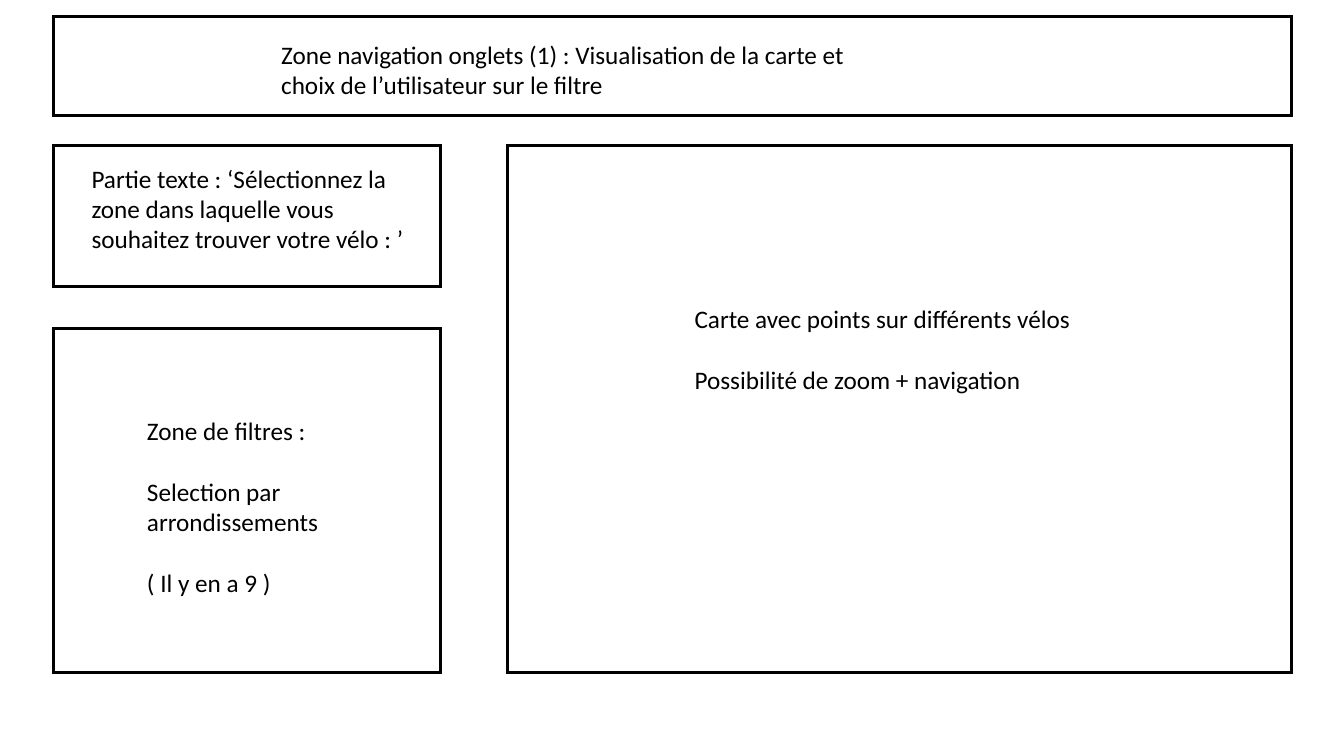
"""Wireframe slide of a bike map page: tabs, prompt, filters and map."""
import lxml.etree
import pptx
import pptx.dml.color
import pptx.enum.shapes
import pptx.enum.text
import pptx.oxml.ns
import pptx.util

Inches, Pt = pptx.util.Inches, pptx.util.Pt

THEME = {
    "ink": pptx.dml.color.RGBColor(0, 0, 0),
    "font": "Calibri",
    "size": Pt(18),
    "border": Pt(2.25),
    "paragraph_gap": Pt(21.9),
}
TEXT_FORMAT = {"name": THEME["font"], "size": THEME["size"]}
BOX_FORMAT = {
    "word_wrap": True,
    "auto_size": pptx.enum.text.MSO_AUTO_SIZE.SHAPE_TO_FIT_TEXT,
}

LEFT, RIGHT = 0.53, 12.81
SIDE_WIDTH = 3.84
MAP_LEFT = 5.03
BODY_TOP, BODY_BOTTOM = 1.44, 6.67
FILTER_TOP = 3.26

FRAMES = [
    (MAP_LEFT, BODY_TOP, RIGHT - MAP_LEFT, BODY_BOTTOM - BODY_TOP),
    (LEFT, FILTER_TOP, SIDE_WIDTH, BODY_BOTTOM - FILTER_TOP),
    (LEFT, 0.16, RIGHT - LEFT, 0.99),
    (LEFT, BODY_TOP, SIDE_WIDTH, 1.4),
]
LABELS = [
    ((6.79, 2.96, 4.42, 1.01),
     ["Carte avec points sur différents vélos",
      "Possibilité de zoom + navigation"]),
    ((1.36, 4.07, 2.66, 1.92),
     ["Zone de filtres :",
      "Selection par arrondissements",
      "( Il y en a 9 )"]),
    ((2.69, 0.34, 6.17, 0.71),
     ["Zone navigation onglets (1) : Visualisation de la carte et "
      "choix de l’utilisateur sur le filtre"]),
    ((0.81, 1.57, 3.56, 1.01),
     ["Partie texte : ‘Sélectionnez la zone dans laquelle vous "
      "souhaitez trouver votre vélo : ’"]),
]

deck = pptx.Presentation()
deck.slide_width, deck.slide_height = Inches(13.33), Inches(7.5)
page = deck.slides.add_slide(deck.slide_layouts.get_by_name("Blank"))

for bounds in FRAMES:
    frame = page.shapes.add_shape(
        pptx.enum.shapes.MSO_SHAPE.RECTANGLE, *map(Inches, bounds))
    frame.shadow.inherit = False
    frame.fill.background()
    frame.line.color.rgb = THEME["ink"]
    frame.line.width = THEME["border"]
    outline = frame.element.spPr.find(pptx.oxml.ns.qn("a:ln"))
    lxml.etree.SubElement(outline, pptx.oxml.ns.qn("a:miter"), lim="800000")

for bounds, lines in LABELS:
    box = page.shapes.add_textbox(*map(Inches, bounds))
    for attribute, value in BOX_FORMAT.items():
        setattr(box.text_frame, attribute, value)
    box.text_frame.text = "\n".join(lines)
    for index, para in enumerate(box.text_frame.paragraphs):
        if index:
            para.space_before = THEME["paragraph_gap"]
        for span in para.runs:
            for attribute, value in TEXT_FORMAT.items():
                setattr(span.font, attribute, value)
            span.font.color.rgb = THEME["ink"]

deck.save("out.pptx")
